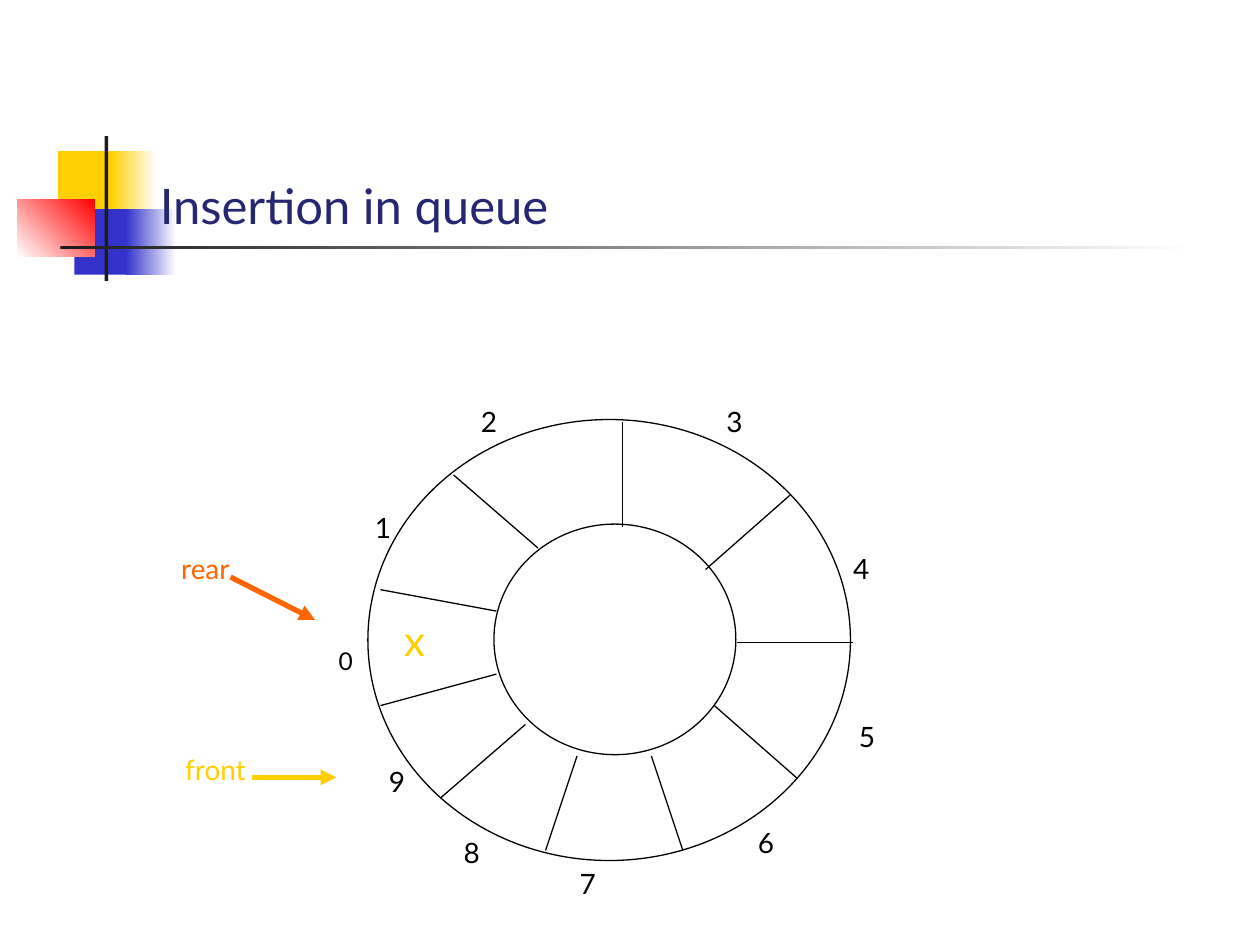
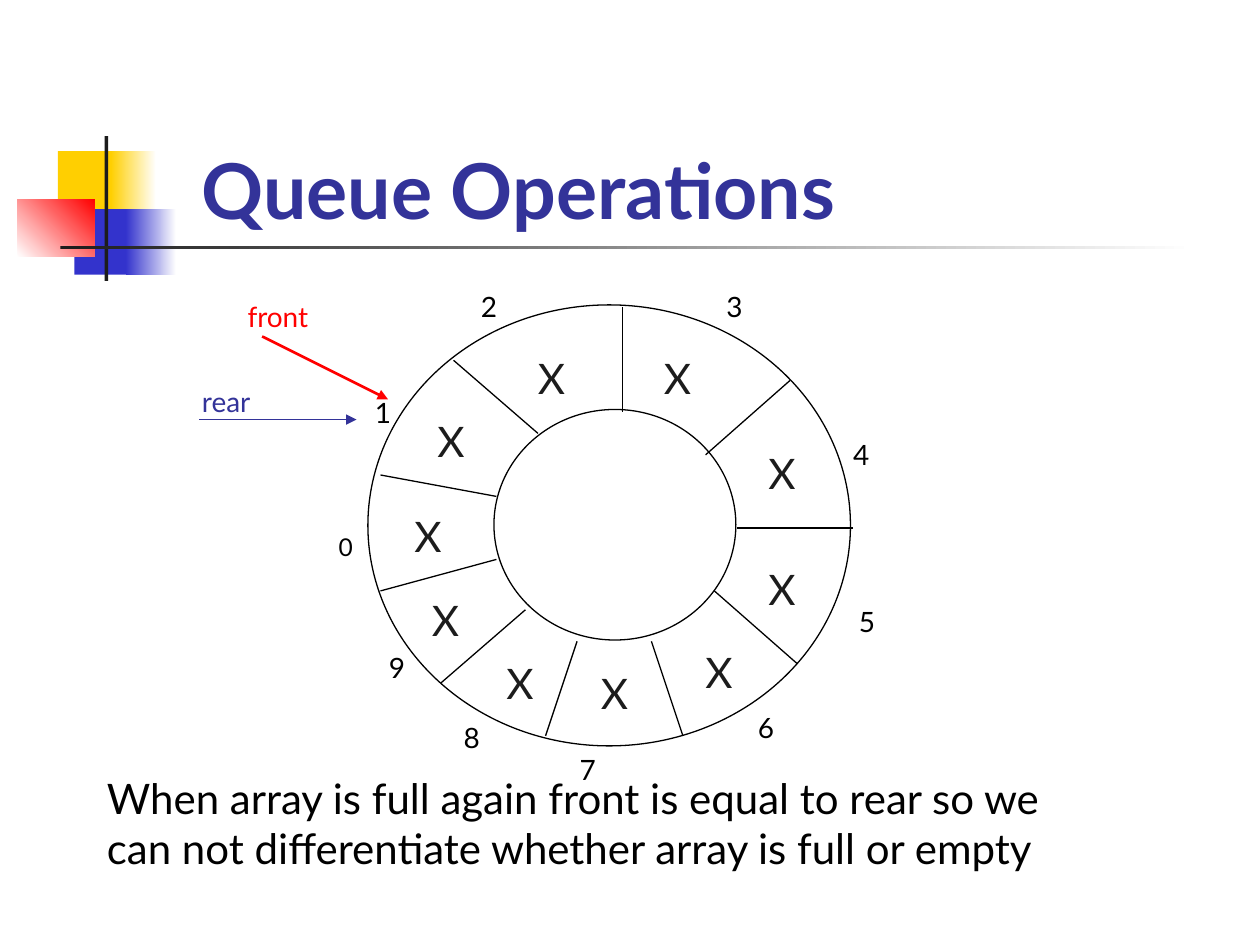
"""Two slides on inserting into a circular queue of ten cells."""
from pptx import Presentation
from pptx.dml.color import RGBColor
from pptx.enum.shapes import MSO_CONNECTOR, MSO_SHAPE
from pptx.enum.text import MSO_AUTO_SIZE, PP_ALIGN
from pptx.oxml.ns import qn
from pptx.util import Inches, Pt
from lxml.etree import SubElement

FONT = "Lato"
WHITE, BLACK, INK = "FFFFFF", "000000", "1C1C1C"
YELLOW, BLUE, RED = "FFCF01", "3333CC", "FF0000"
INDIGO, NAVY, ORANGE = "333399", "262673", "FF6600"

BACKDROP = [
    ((0.46, 1.2, 0.48, 0.52), (YELLOW,), 0),
    ((0.88, 1.2, 0.36, 0.52), (YELLOW, WHITE), 0),
    ((0.59, 1.66, 0.46, 0.52), (BLUE,), 0),
    ((1, 1.66, 0.4, 0.52), (BLUE, WHITE), 0),
    ((0.14, 1.58, 0.61, 0.46), (WHITE, RED), 45),
    ((0.83, 1.08, 0.03, 1.15), (INK,), 0),
    ((0.48, 1.95, 9, 0.03), (INK, WHITE), 0),
]

# Ring heights are measured down from the top of the ring.
RING_OVALS = [(2.92, 0, 3.83, 3.5), (3.92, 0.83, 1.92, 1.83)]
RING_SPOKES = [
    (3.6, 0.44, 4.27, 1.02), (4.94, 0.02, 4.94, 0.85),
    (6.27, 0.6, 5.6, 1.19), (5.85, 1.77, 6.77, 1.77),
    (5.67, 2.27, 6.33, 2.85), (5.17, 2.67, 5.42, 3.42),
    (4.58, 2.67, 4.33, 3.42), (4.17, 2.42, 3.5, 3),
    (3.94, 2.02, 3.02, 2.27), (3.94, 1.52, 3.02, 1.35),
]
CELL_LABELS = [
    (2.58, 1.75, 0.33), (2.83, 0.67, 0.42), (3.67, -0.17, 0.42),
    (5.58, -0.17, 0.5), (6.67, 1, 0.33), (6.67, 2.33, 0.42),
    (5.83, 3.17, 0.5), (4.5, 3.5, 0.33), (3.58, 3.25, 0.33),
    (2.94, 2.69, 0.42),
]

SLIDES = [
    dict(
        ring_top=3.33,
        texts=[("Insertion in queue", (1.17, 1.34, 8.42, 0.57),
                dict(size=28, color=NAVY))],
        mark="x", mark_color=YELLOW, marks=[(3.08, 4.83, 0.42)],
        pointers=[
            ("front", (1.25, 5.92, 0.92), (2, 6.17, 2.67, 6.17), YELLOW, 3),
            ("rear", (1.17, 4.33, 0.92), (1.83, 4.58, 2.5, 4.92), ORANGE, 3),
        ],
    ),
    dict(
        ring_top=2.42,
        texts=[
            ("Queue Operations", (1.5, 1.08, 6.33, 0.84),
             dict(size=44, color=INDIGO, bold=True)),
            ("When array is full again front is equal to rear so we can not "
             "differentiate whether array is full or empty",
             (0.75, 6.08, 7.92, 0.91), dict(size=24)),
        ],
        mark="X", mark_color=INK,
        marks=[
            (3.33, 3.25, 0.5), (4.17, 2.75, 0.38), (5.17, 2.75, 0.38),
            (6, 3.5, 0.38), (6, 4.42, 0.38), (5.5, 5.08, 0.38),
            (4.67, 5.25, 0.38), (3.92, 5.17, 0.38), (3.33, 4.67, 0.38),
            (3.19, 4, 0.38),
        ],
        pointers=[
            ("front", (1.83, 2.33, 0.75), (2.08, 2.67, 3.08, 3.17), RED, 1.5),
            ("rear", (1.42, 3, 0.75), (1.58, 3.33, 2.83, 3.33), INDIGO, 0.75),
        ],
    ),
]


def rgb(value):
    return RGBColor.from_string(value)


def inches(values):
    return [Inches(v) for v in values]


def add_text(shapes, text, box, size=16, color=BLACK, bold=False, align=PP_ALIGN.LEFT):
    tf = shapes.add_textbox(*inches(box)).text_frame
    tf.word_wrap = True
    tf.auto_size = MSO_AUTO_SIZE.SHAPE_TO_FIT_TEXT
    p = tf.paragraphs[0]
    p.alignment = align
    r = p.add_run()
    r.text = text
    r.font.name, r.font.size, r.font.bold = FONT, Pt(size), bold
    r.font.color.rgb = rgb(color)


def add_label(shapes, text, place, size=16, color=BLACK):
    height = 0.1 + size / 60
    add_text(shapes, text, (*place, height), size, color, align=PP_ALIGN.CENTER)


def add_filled(shapes, kind, box, colors, angle=0, line=None):
    sp = shapes.add_shape(kind, *inches(box))
    sp.shadow.inherit = False
    if len(colors) == 1:
        sp.fill.solid()
        sp.fill.fore_color.rgb = rgb(colors[0])
    else:
        sp.fill.gradient()
        sp.fill.gradient_angle = angle
        for stop, color in zip(sp.fill.gradient_stops, colors):
            stop.color.rgb = rgb(color)
    if line:
        sp.line.color.rgb = rgb(line)
        sp.line.width = Pt(0.75)
    else:
        sp.line.fill.background()


def add_line(shapes, ends, color=BLACK, width=0.75, arrow=False):
    c = shapes.add_connector(MSO_CONNECTOR.STRAIGHT, *inches(ends))
    c.line.color.rgb = rgb(color)
    c.line.width = Pt(width)
    if arrow:
        SubElement(c.line._get_or_add_ln(), qn("a:tailEnd"), type="triangle")
    SubElement(c._element.spPr, qn("a:effectLst"))


def add_ring(s, top):
    ring = s.shapes.add_group_shape().shapes
    for x, y, w, h in RING_OVALS:
        add_filled(ring, MSO_SHAPE.OVAL, (x, top + y, w, h), (WHITE,), line=BLACK)
    for x1, y1, x2, y2 in RING_SPOKES:
        add_line(ring, (x1, top + y1, x2, top + y2))
    for i, (x, y, w) in enumerate(CELL_LABELS):
        add_label(ring, str(i), (x, top + y, w), size=16 if i else 14)


def build_slide(prs, content):
    s = prs.slides.add_slide(prs.slide_layouts[6])
    for box, colors, angle in BACKDROP:
        add_filled(s.shapes, MSO_SHAPE.RECTANGLE, box, colors, angle)
    add_ring(s, content["ring_top"])
    for place in content["marks"]:
        add_label(s.shapes, content["mark"], place, 24, content["mark_color"])
    for name, place, ends, color, width in content["pointers"]:
        add_line(s.shapes, ends, color, width, arrow=True)
        add_label(s.shapes, name, place, color=color)
    for text, box, style in content["texts"]:
        add_text(s.shapes, text, box, **style)


def main():
    prs = Presentation()
    prs.slide_width, prs.slide_height = Inches(10), Inches(7.5)
    for content in SLIDES:
        build_slide(prs, content)
    prs.save("out.pptx")


if __name__ == "__main__":
    main()
